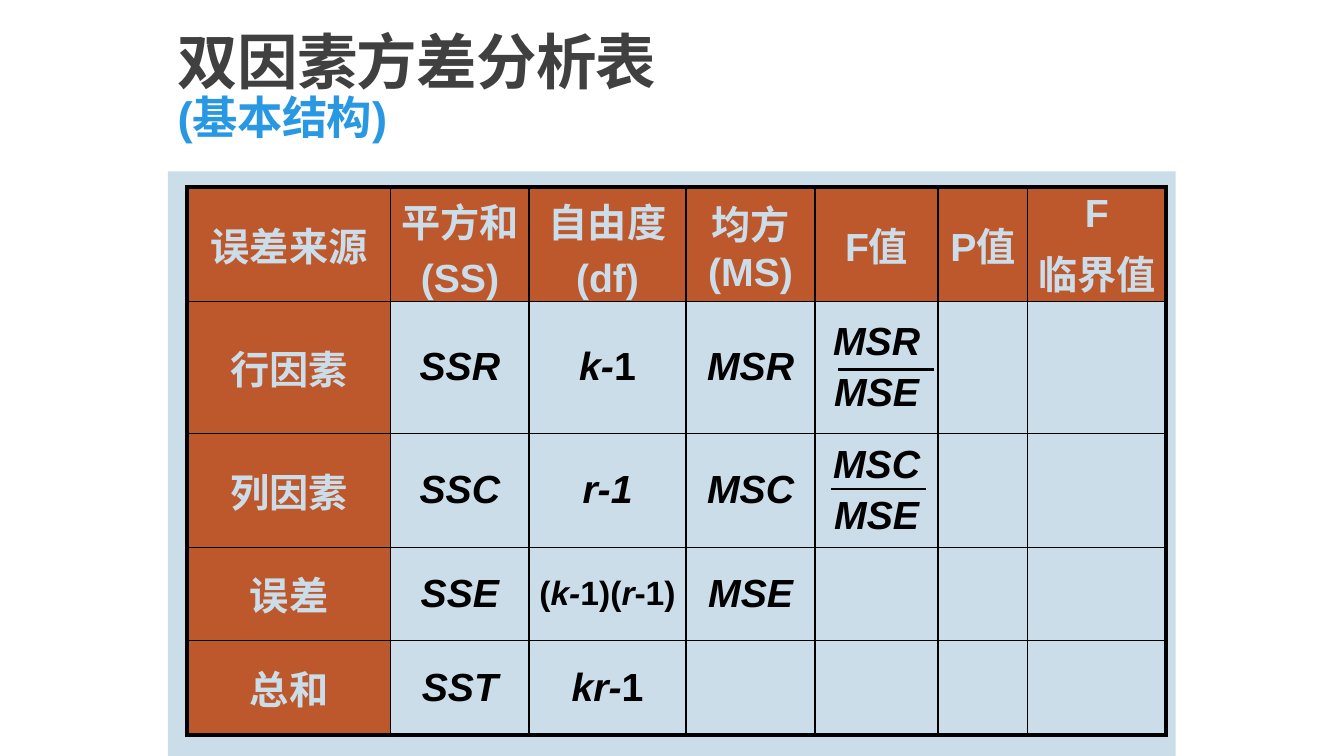
from pptx import Presentation
from pptx.dml.color import RGBColor
from pptx.enum.shapes import MSO_CONNECTOR, MSO_SHAPE
from pptx.enum.text import MSO_ANCHOR, PP_ALIGN
from pptx.util import Cm, Pt
from lxml import etree

RECT = MSO_SHAPE.RECTANGLE
LINE = MSO_CONNECTOR.STRAIGHT
CENTER = PP_ALIGN.CENTER
MIDDLE = MSO_ANCHOR.MIDDLE
BOTTOM = MSO_ANCHOR.BOTTOM
PALE = RGBColor(0xCC, 0xDD, 0xEA)
RUST = RGBColor(0xBD, 0x58, 0x2C)
BLUE = RGBColor(0x29, 0x98, 0xE3)
GRAY = RGBColor(0x40, 0x40, 0x40)
BLACK = RGBColor(0, 0, 0)
NS = "http://schemas.openxmlformats.org/drawingml/2006/main"

WIDTHS = [5.13, 3.48, 3.96, 3.25, 3.1, 2.26, 3.48]
HEIGHTS = [2.87, 3.33, 2.87, 2.34, 2.39]
# The bar switches between italic and upright, starting with italic.
ROWS = [
    ["误差来源", "平方和\n(SS)", "自由度\n(df)", "均方(MS)", "F值", "P值", "F\n临界值"],
    ["行因素", "SSR", "k-|1", "MSR", "MSR\nMSE", "", ""],
    ["列因素", "SSC", "r-1", "MSC", "MSC\nMSE", "", ""],
    ["误差", "SSE", "|(|k-|1)(|r|-1)", "MSE", "", "", ""],
    ["总和", "SST", "kr-|1", "", "", "", ""],
]


def style(run, size, color, italic=False):
    font = run.font
    font.name = "Arial"
    font.size = Pt(size)
    font.bold = True
    font.italic = italic
    font.color.rgb = color


def border(cell, side, width):
    line = etree.SubElement(cell._tc.get_or_add_tcPr(), f"{{{NS}}}ln{side}", w=str(Pt(width)))
    fill = etree.SubElement(line, f"{{{NS}}}solidFill")
    etree.SubElement(fill, f"{{{NS}}}srgbClr", val=str(BLACK))


deck = Presentation()
deck.slide_width = Cm(33.87)
deck.slide_height = Cm(19.05)
slide = deck.slides.add_slide(deck.slide_layouts[6])
shapes = slide.shapes

panel = shapes.add_shape(RECT, Cm(4.23), Cm(4.32), Cm(25.4), Cm(14.73))
panel.shadow.inherit = False
panel.fill.solid()
panel.fill.fore_color.rgb = PALE
panel.line.fill.background()

title = shapes.add_textbox(Cm(4.23), Cm(0.56), Cm(18.85), Cm(3.18))
frame = title.text_frame
frame.word_wrap = True
frame.vertical_anchor = BOTTOM
frame.text = "双因素方差分析表\v(基本结构)"
head = frame.paragraphs[0]
head.line_spacing = 0.85
for run, size, color in zip(head.runs, [43.2, 32.4], [GRAY, BLUE]):
    style(run, size, color)
    run._r.get_or_add_rPr().set("spc", "-50")

table = shapes.add_table(
    len(ROWS), len(WIDTHS), Cm(4.72), Cm(4.72), Cm(sum(WIDTHS)), Cm(sum(HEIGHTS))
).table
table.first_row = False
table.horz_banding = False
for col, width in zip(table.columns, WIDTHS):
    col.width = Cm(width)
for row, height in zip(table.rows, HEIGHTS):
    row.height = Cm(height)

for r, texts in enumerate(ROWS):
    for c, text in enumerate(texts):
        cell = table.cell(r, c)
        label = r == 0 or c == 0
        edges = {
            "L": c == 0,
            "R": c == len(WIDTHS) - 1,
            "T": r == 0,
            "B": r == len(ROWS) - 1,
        }
        for side, outer in edges.items():
            border(cell, side, 3 if outer else 1)
        if label:
            cell.fill.solid()
            cell.fill.fore_color.rgb = RUST
        else:
            cell.fill.background()
        cell.vertical_anchor = MIDDLE
        if not text:
            continue
        cell.text_frame.text = text
        size = 24 if text.startswith("|") else 28
        for para in cell.text_frame.paragraphs:
            para.alignment = CENTER
            para.space_before = Pt(5.6)
            parts = para.text.split("|")
            para.clear()
            for n, part in enumerate(parts):
                if part:
                    run = para.add_run()
                    run.text = part
                    style(run, size, PALE if label else BLACK, not label and n % 2 == 0)

for left, top in [(21.13, 9.32), (20.93, 12.32)]:
    bar = shapes.add_connector(LINE, Cm(left), Cm(top), Cm(left + 2.41), Cm(top))
    bar.line.color.rgb = BLACK
    bar.line.width = Pt(2)
    etree.SubElement(bar._element.spPr, f"{{{NS}}}effectLst")

deck.save("out.pptx")
